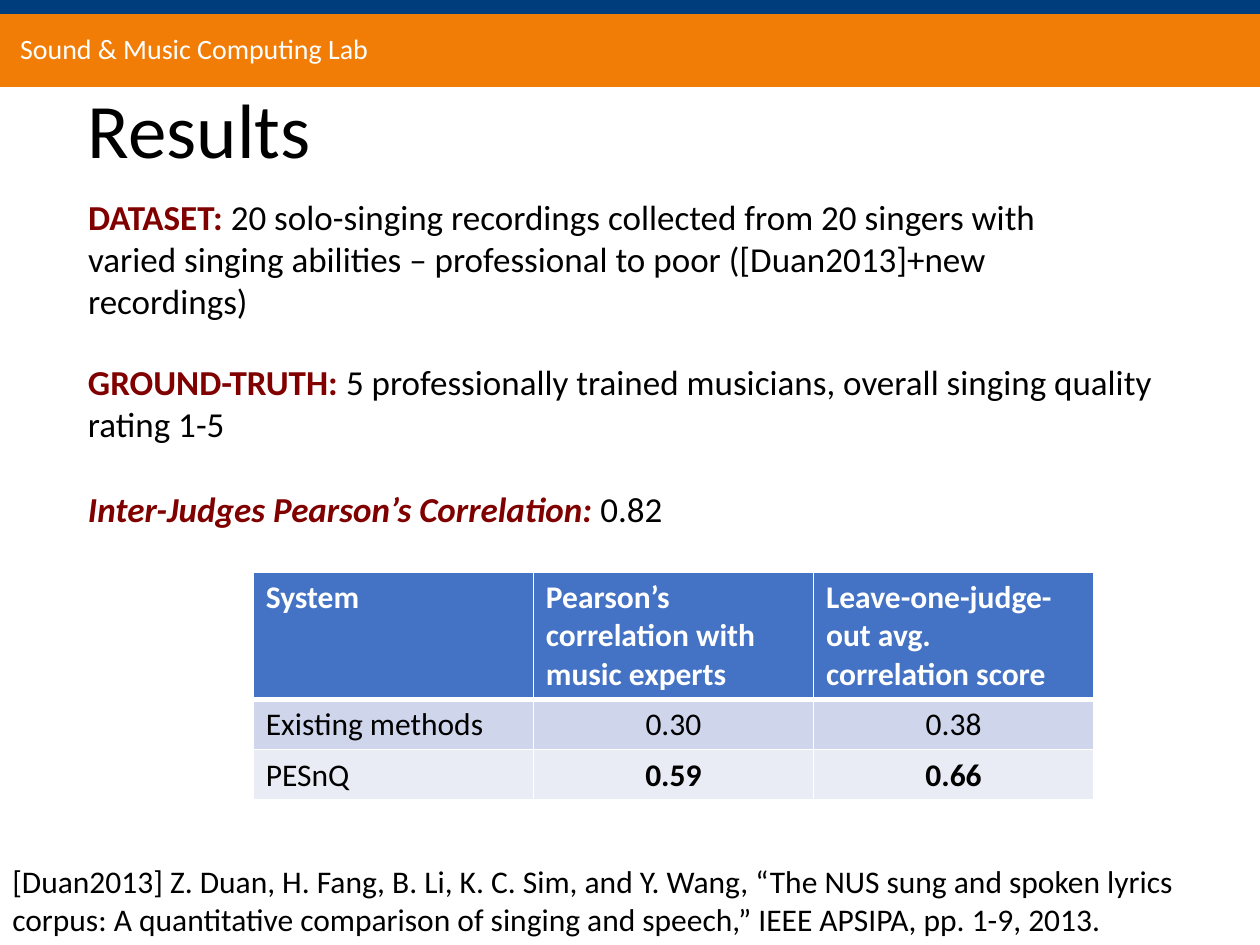
import pptx
import pptx.dml.color
import pptx.enum.shapes
import pptx.enum.text
import pptx.oxml
import pptx.oxml.ns
import pptx.util

Inches = pptx.util.Inches
Pt = pptx.util.Pt
ALIGN = pptx.enum.text.PP_ALIGN
ANCHOR = pptx.enum.text.MSO_ANCHOR

HUES = {
    "navy": "003D7C", "orange": "F17D07", "maroon": "800000",
    "black": "000000", "white": "FFFFFF",
    "head": "4472C4", "odd": "CFD5EA", "even": "E9EBF5",
}
LABEL = {"hue": "maroon", "bold": True}
ROWS = [
    ["System", "Pearson’s correlation with music experts",
     "Leave-one-judge-out avg. correlation score"],
    ["Existing methods", "0.30", "0.38"],
    ["PESnQ", "0.59", "0.66"],
]


def color(name):
    return pptx.dml.color.RGBColor.from_string(HUES[name])


def add_run(para, text, size, hue="black", **style):
    run = para.add_run()
    run.text = text
    form = {"name": "Calibri", "size": Pt(size), **style}
    for key, value in form.items():
        setattr(run.font, key, value)
    run.font.color.rgb = color(hue)


def add_bar(slide, top, height, hue):
    bar = slide.shapes.add_shape(
        pptx.enum.shapes.MSO_SHAPE.RECTANGLE,
        0, Inches(top), Inches(10), Inches(height))
    bar.shadow.inherit = False
    bar.fill.solid()
    bar.fill.fore_color.rgb = color(hue)
    bar.line.fill.background()


def add_text(slide, area, paras, size, **frame):
    """Each paragraph is a list of (text, style) runs."""
    box = slide.shapes.add_textbox(*map(Inches, area)).text_frame
    for key, value in {"word_wrap": True, **frame}.items():
        setattr(box, key, value)
    for i, runs in enumerate(paras):
        para = box.add_paragraph() if i else box.paragraphs[0]
        if i:
            para.space_before = Pt(24.4)
        for text, style in runs:
            add_run(para, text, size, **style)
    return box


def set_edges(cell, low):
    """White borders; low is the width of the bottom one in points."""
    props = cell._tc.get_or_add_tcPr()
    for i, (side, width) in enumerate(
            [("L", 1), ("R", 1), ("T", 1), ("B", low)]):
        props.insert(i, pptx.oxml.parse_xml(
            f'<a:ln{side} {pptx.oxml.ns.nsdecls("a")} w="{Pt(width)}">'
            f'<a:solidFill><a:srgbClr val="{HUES["white"]}"/></a:solidFill>'
            f'</a:ln{side}>'))


def add_grid(slide):
    grid = slide.shapes.add_table(
        3, 3, Inches(2.01), Inches(4.54), Inches(6.67), Inches(1.81)).table
    for row, high in zip(grid.rows, [1.01, 0.4, 0.4]):
        row.height = Inches(high)
    fills = ["head", "odd", "even"]
    for r, row in enumerate(ROWS):
        for c, text in enumerate(row):
            cell = grid.cell(r, c)
            cell.fill.solid()
            cell.fill.fore_color.rgb = color(fills[r])
            # The header rule and the row under it share one thick edge
            set_edges(cell, 1 if r else 3)
            if r == 1:
                top = cell._tc.tcPr.find(pptx.oxml.ns.qn("a:lnT"))
                top.set("w", str(Pt(3)))
            para = cell.text_frame.paragraphs[0]
            para.alignment = ALIGN.CENTER if r and c else ALIGN.LEFT
            add_run(para, text, 18, "black" if r else "white",
                    bold=r == 0 or (r == 2 and c > 0))


def main():
    deck = pptx.Presentation()
    deck.slide_width, deck.slide_height = Inches(10), Inches(7.5)
    slide = deck.slides.add_slide(deck.slide_layouts[6])

    # Title
    title = add_text(slide, (0.6, 0.33, 8.8, 1.46), [[("Results", {})]], 44,
                     vertical_anchor=ANCHOR.MIDDLE)
    title.paragraphs[0].line_spacing = 0.9

    # Scores
    add_grid(slide)

    # Body
    add_text(slide, (0.6, 2.81, 8.8, 1.45), [
        [("GROUND-TRUTH: ", LABEL),
         ("5 professionally trained musicians, overall singing quality "
          "rating 1-5", {})],
        [("Inter-Judges Pearson’s Correlation: ", {**LABEL, "italic": True}),
         ("0.82", {})],
    ], 20)
    add_text(slide, (0.6, 1.5, 8.08, 1.11), [
        [("DATASET: ", LABEL),
         ("20 solo-singing recordings collected from 20 singers with varied "
          "singing abilities – professional to poor ([Duan2013]+new "
          "recordings)", {})],
    ], 20)

    # Reference
    add_text(slide, (0, 6.79, 10, 0.71), [
        [("[Duan2013] Z. Duan, H. Fang, B. Li, K. C. Sim, and Y. Wang, “The "
          "NUS sung and spoken lyrics corpus: A quantitative comparison of "
          "singing and speech,” IEEE APSIPA, pp. 1-9, 2013.", {})],
    ], 18)

    # Top banner
    add_bar(slide, 0.11, 0.58, "orange")
    edges = ["left", "right", "top", "bottom"]
    add_text(slide, (0.12, 0.21, 2.87, 0.35),
             [[("Sound & Music Computing Lab", {"hue": "white"})]], 16,
             word_wrap=False, vertical_anchor=ANCHOR.MIDDLE,
             **{f"margin_{edge}": Inches(0.04) for edge in edges})
    add_bar(slide, 0, 0.11, "navy")

    deck.save("out.pptx")


if __name__ == "__main__":
    main()
